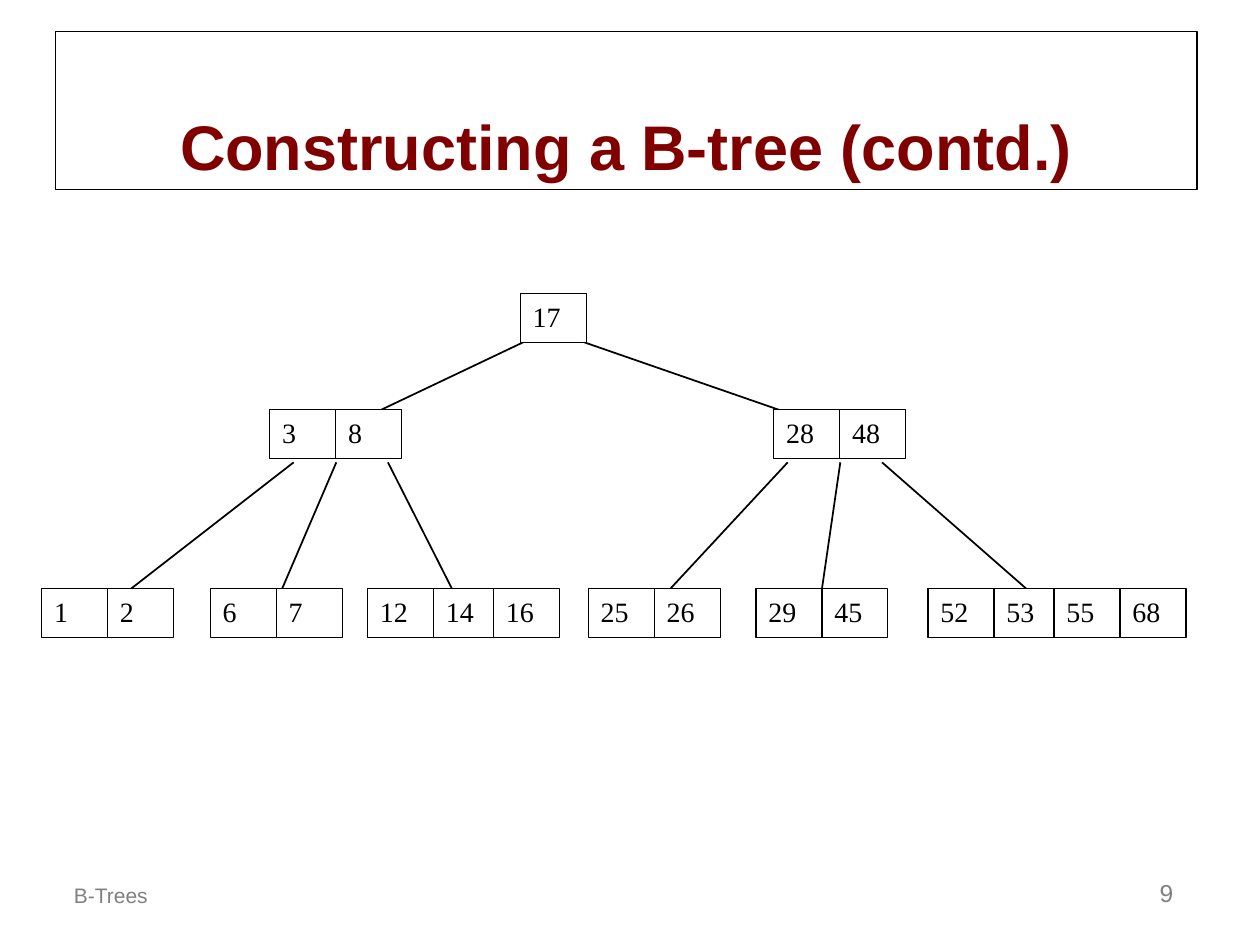
from lxml.etree import SubElement
from pptx import Presentation
from pptx.dml.color import RGBColor
from pptx.enum.shapes import MSO_CONNECTOR as Connector, MSO_SHAPE as Shape
from pptx.enum.text import MSO_ANCHOR as Anchor, PP_ALIGN as Align
from pptx.oxml.ns import qn
from pptx.util import Cm, Pt

BLACK = RGBColor(0x00, 0x00, 0x00)
WHITE = RGBColor(0xFF, 0xFF, 0xFF)
MAROON = RGBColor(0x80, 0x00, 0x00)
GRAY = RGBColor(0x80, 0x80, 0x80)

# Content: each level has its top edge and its nodes as (left, keys), in cm
TITLE = "Constructing a B-tree (contd.)"
FOOTER = "B-Trees"
PAGE_NUMBER = "9"
LEVELS = [
    (5.92, [(10.49, [17])]),
    (8.26, [(5.44, [3, 8]), (15.6, [28, 48])]),
    (11.86, [(0.84, [1, 2]), (4.24, [6, 7]), (7.41, [12, 14, 16]),
             (11.86, [25, 26]), (15.24, [29, 45]), (18.71, [52, 53, 55, 68])]),
]
# Branches: start and end height, then (start x, end x) of each line, in cm
BRANCHES = [
    (9.32, 12.28, [(5.92, 2.11), (6.78, 5.51), (7.82, 9.32),
                   (15.88, 13.13), (16.94, 16.51), (17.78, 21.16)]),
    (6.78, 8.69, [(10.8, 6.78), (11.43, 16.94)]),
]
CELL_WIDTH, CELL_HEIGHT = 1.33, 0.99
PAIR_STEP = 2.54  # neighbouring pairs of keys overlap slightly

deck = Presentation()
deck.slide_width, deck.slide_height = Cm(25.4), Cm(19.05)
slide = deck.slides.add_slide(deck.slide_layouts[6])


def add_text(text, left, top, width, height, *, size, font="Arial", color=BLACK,
             bold=False, align=Align.LEFT, anchor=Anchor.BOTTOM,
             boxed=False, fill=None):
    place = Cm(left), Cm(top), Cm(width), Cm(height)
    if boxed:
        box = slide.shapes.add_shape(Shape.RECTANGLE, *place)
        box.shadow.inherit = False
        box.line.color.rgb = BLACK
        box.line.width = Pt(0.75)
        if fill is None:
            box.fill.background()
        else:
            box.fill.solid()
            box.fill.fore_color.rgb = fill
    else:
        box = slide.shapes.add_textbox(*place)
    frame = box.text_frame
    frame.word_wrap = True
    frame.vertical_anchor = anchor
    paragraph = frame.paragraphs[0]
    paragraph.alignment = align
    run = paragraph.add_run()
    run.text = text
    run.font.name = font
    run.font.size = Pt(size)
    run.font.bold = bold
    run.font.color.rgb = color


def add_branch(x1, y1, x2, y2):
    branch = slide.shapes.add_connector(
        Connector.STRAIGHT, Cm(x1), Cm(y1), Cm(x2), Cm(y2))
    branch.line.color.rgb = BLACK
    branch.line.width = Pt(1)
    SubElement(branch._element.spPr, qn("a:effectLst"))


# Footer and page number
add_text(FOOTER, 1.24, 17.15, 7.62, 1.27, size=12, color=GRAY)
add_text(PAGE_NUMBER, 18.62, 17.15, 5.28, 1.27, size=14, color=GRAY,
         align=Align.RIGHT)

# Branches lie behind the nodes
for start_y, end_y, spans in BRANCHES:
    for start_x, end_x in spans:
        add_branch(start_x, start_y, end_x, end_y)

# Title
add_text(TITLE, 1.12, 0.64, 23.01, 3.18, size=36, color=MAROON, bold=True,
         align=Align.CENTER, boxed=True)

# Nodes, one cell per key
for top, nodes in LEVELS:
    for left, keys in nodes:
        for i, key in enumerate(keys):
            cell_left = left + i // 2 * PAIR_STEP + i % 2 * CELL_WIDTH
            add_text(str(key), cell_left, top, CELL_WIDTH, CELL_HEIGHT, size=16,
                     font="Times New Roman", anchor=Anchor.TOP,
                     boxed=True, fill=WHITE)

deck.save("out.pptx")
